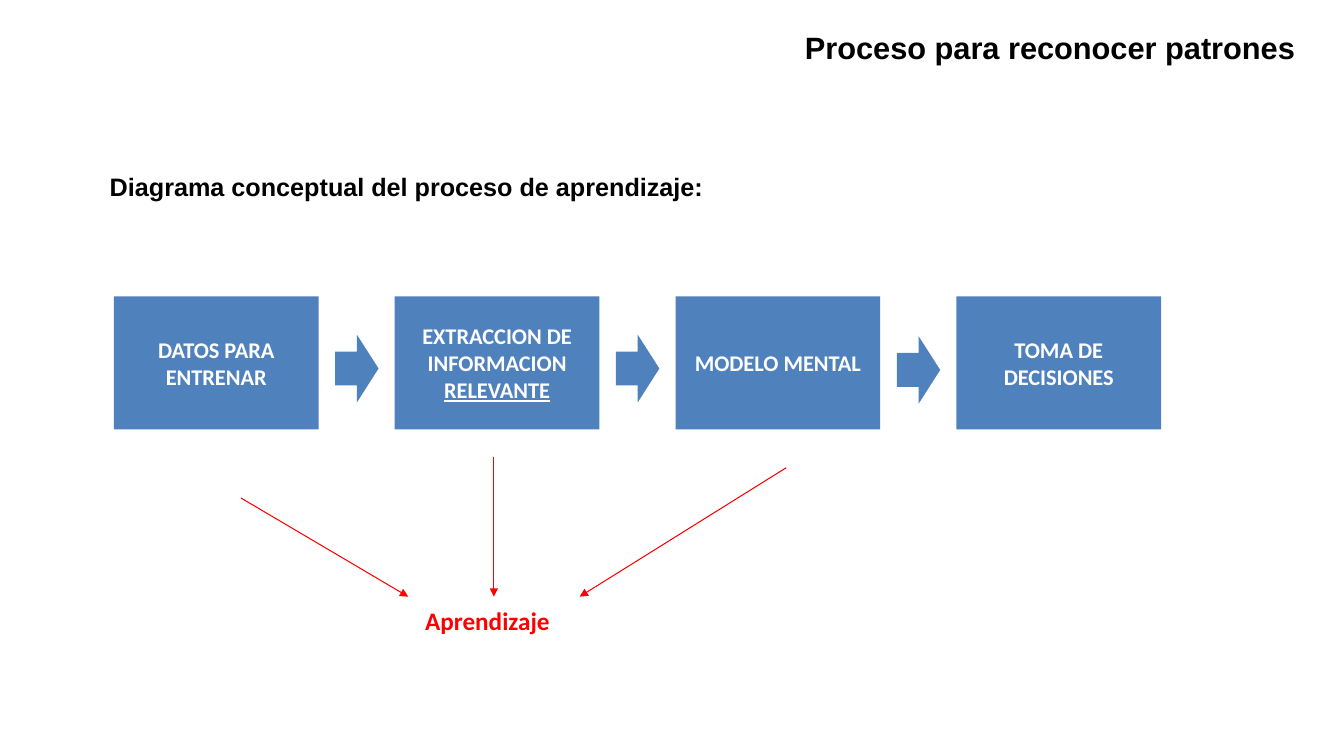
from lxml import etree
from pptx import Presentation
from pptx.dml.color import RGBColor
from pptx.enum.shapes import MSO_CONNECTOR, MSO_SHAPE
from pptx.enum.text import MSO_ANCHOR, PP_ALIGN
from pptx.oxml.ns import qn
from pptx.util import Pt

RECT, ARROW = MSO_SHAPE.RECTANGLE, MSO_SHAPE.RIGHT_ARROW
LINE = MSO_CONNECTOR.STRAIGHT
MIDDLE, TOP = MSO_ANCHOR.MIDDLE, MSO_ANCHOR.TOP
LEFT, CENTER, RIGHT = PP_ALIGN.LEFT, PP_ALIGN.CENTER, PP_ALIGN.RIGHT

COLORS = {"blue": "4F81BD", "red": "FF0000", "black": "000000", "white": "FFFFFF"}

TITLE = "Proceso para reconocer patrones"
STEPS = [
    ("DATOS PARA ENTRENAR", ""),
    ("EXTRACCION DE INFORMACION ", "RELEVANTE"),
    ("MODELO MENTAL", ""),
    ("TOMA DE DECISIONES", ""),
]
LABELS = [
    ("Aprendizaje", (296.6, 429.1, 104.4, 29), "Calibri", "red"),
    ("Diagrama conceptual del proceso de aprendizaje:",
     (71.3, 118.8, 447.8, 29), "Arial", "black"),
]
LINKS = [
    (172.1, 355.7, 291.6, 426.2),
    (352.8, 326.2, 352.8, 426.2),
    (561.6, 334.1, 414, 426.2),
]
ARROW_TOPS = [239, 239, 240]

BOX_X, BOX_Y, BOX_W, BOX_H = 81.4, 211.7, 146.2, 95
PITCH = 200.6
ARROW_DX, ARROW_W, ARROW_H = 158, 31, 48.5


def color(name):
    return RGBColor.from_string(COLORS[name])


def points(values):
    return [Pt(v) for v in values]


def write(shape, text, under="", font="Calibri", size=16, ink="white",
          align=CENTER, anchor=MIDDLE, wrap=True):
    frame = shape.text_frame
    frame.word_wrap = wrap
    frame.vertical_anchor = anchor
    para = frame.paragraphs[0]
    para.alignment = align
    for part, line in ((text, False), (under, True)):
        if part:
            run = para.add_run()
            run.text = part
            run.font.name = font
            run.font.size = Pt(size)
            run.font.bold = True
            run.font.underline = line
            run.font.color.rgb = color(ink)


def block(slide, kind, *area):
    shape = slide.shapes.add_shape(kind, *points(area))
    shape.shadow.inherit = False
    shape.fill.solid()
    shape.fill.fore_color.rgb = color("blue")
    shape.line.fill.background()
    return shape


def link(slide, ends):
    line = slide.shapes.add_connector(LINE, *points(ends))
    line.line.color.rgb = color("red")
    line.line.width = Pt(0.75)
    etree.SubElement(line.line._get_or_add_ln(), qn("a:tailEnd"), type="triangle")
    etree.SubElement(line._element.spPr, qn("a:effectLst"))


def main():
    deck = Presentation()
    deck.slide_width, deck.slide_height = Pt(960), Pt(540)
    slide = deck.slides.add_slide(deck.slide_layouts[5])

    title = slide.shapes.title
    title.left, title.top, title.width, title.height = points((316.1, 10.1, 616.3, 46.8))
    write(title, TITLE, font="Arial", size=22, ink="black", align=RIGHT)

    for i, (text, under) in enumerate(STEPS):
        left = BOX_X + i * PITCH
        box = block(slide, RECT, left, BOX_Y, BOX_W, BOX_H)
        write(box, text, under)
        if i < len(ARROW_TOPS):
            block(slide, ARROW, left + ARROW_DX, ARROW_TOPS[i], ARROW_W, ARROW_H)

    for ends in LINKS:
        link(slide, ends)

    for text, area, font, ink in LABELS:
        label = slide.shapes.add_textbox(*points(area))
        write(label, text, font=font, size=18, ink=ink, align=LEFT, anchor=TOP, wrap=False)

    deck.save("out.pptx")


if __name__ == "__main__":
    main()
